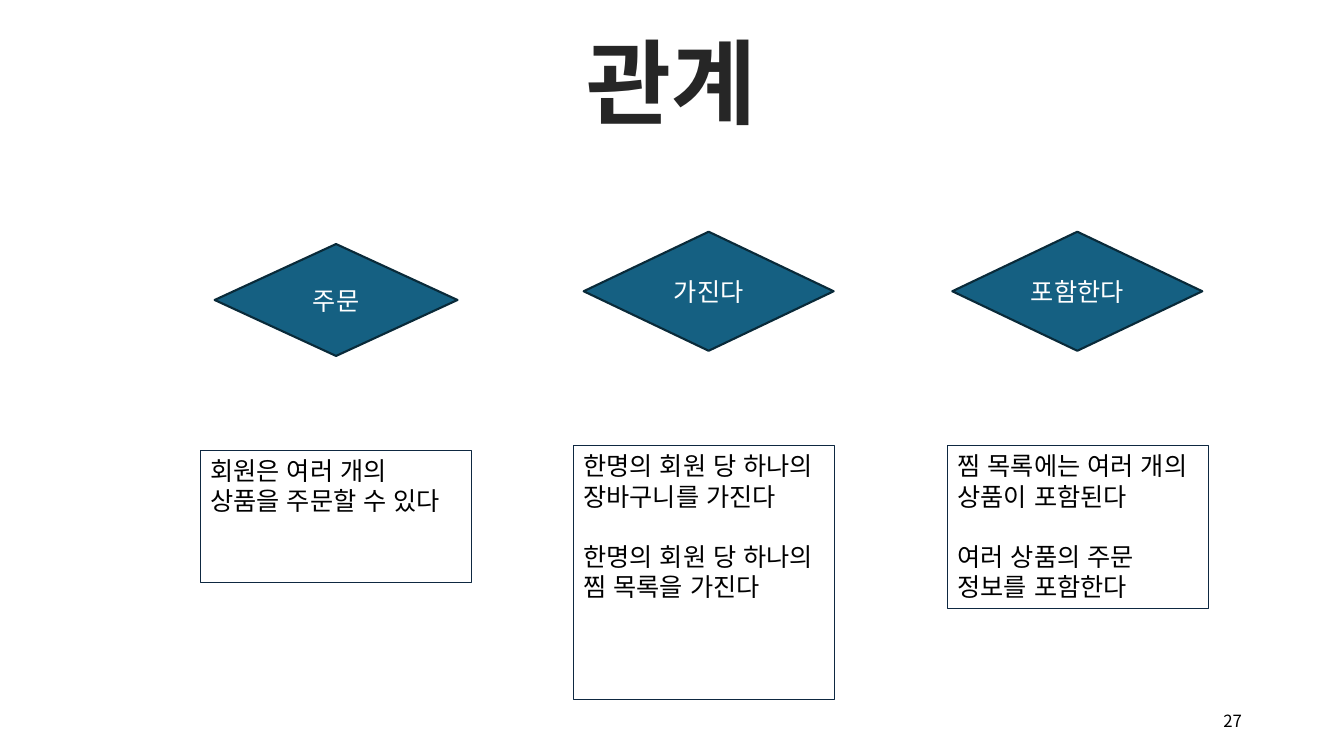
import pptx
import pptx.dml.color
import pptx.enum.lang
import pptx.enum.shapes
import pptx.enum.text
import pptx.oxml.ns
import pptx.util
from lxml import etree

Cm = pptx.util.Cm
Pt = pptx.util.Pt
ALIGN = pptx.enum.text.PP_ALIGN
ANCHOR = pptx.enum.text.MSO_ANCHOR
SHAPE = pptx.enum.shapes.MSO_SHAPE
BODY_FONT = "Noto Sans CJK KR"
TITLE_FONT = "Montserrat"

RELATIONS = [
    ("주문", (5.41, 6.15, 6.12, 2.82), (5.05, 11.35, 6.83, 3.33),
     ["회원은 여러 개의 상품을 주문할 수 있다"]),
    ("가진다", (14.71, 5.84, 6.3, 3), (14.45, 11.23, 6.58, 6.4),
     ["한명의 회원 당 하나의 장바구니를 가진다",
      "한명의 회원 당 하나의 찜 목록을 가진다"]),
    ("포함한다", (24, 5.84, 6.3, 3), (23.88, 11.23, 6.58, 4.11),
     ["찜 목록에는 여러 개의 상품이 포함된다",
      "여러 상품의 주문 정보를 포함한다"]),
]


def color(value):
    return pptx.dml.color.RGBColor.from_string(value)


def lengths(box):
    return [Cm(value) for value in box]


def add_run(paragraph, text, size, text_color, font_name=BODY_FONT, bold=False):
    run = paragraph.add_run()
    run.text = text
    font = run.font
    font.size = Pt(size)
    font.bold = bold
    font.name = font_name
    font.color.rgb = color(text_color)
    font.language_id = pptx.enum.lang.MSO_LANGUAGE_ID.KOREAN
    east_asian = etree.SubElement(run._r.get_or_add_rPr(), pptx.oxml.ns.qn("a:ea"))
    east_asian.set("typeface", font_name)


def add_title(slide, box, text):
    frame = slide.shapes.add_textbox(*lengths(box)).text_frame
    frame.word_wrap = False
    paragraph = frame.paragraphs[0]
    paragraph.alignment = ALIGN.CENTER
    add_run(paragraph, text, 66, "262626", TITLE_FONT, True)


def add_page_number(slide, box, text):
    frame = slide.shapes.add_textbox(*lengths(box)).text_frame
    frame.word_wrap = True
    frame.vertical_anchor = ANCHOR.MIDDLE
    paragraph = frame.paragraphs[0]
    paragraph.alignment = ALIGN.RIGHT
    add_run(paragraph, text, 12, "000000")


def add_diamond(slide, box, text):
    shape = slide.shapes.add_shape(SHAPE.DIAMOND, *lengths(box))
    shape.shadow.inherit = False
    shape.fill.solid()
    shape.fill.fore_color.rgb = color("156082")
    shape.line.color.rgb = color("092A39")
    shape.line.width = Pt(1.5)
    shape.text_frame.vertical_anchor = ANCHOR.MIDDLE
    paragraph = shape.text_frame.paragraphs[0]
    paragraph.alignment = ALIGN.CENTER
    add_run(paragraph, text, 18, "FFFFFF")


def add_description(slide, box, sentences):
    shape = slide.shapes.add_shape(SHAPE.RECTANGLE, *lengths(box))
    shape.shadow.inherit = False
    shape.fill.background()
    shape.line.color.rgb = color("0E2841")
    shape.line.width = Pt(0.75)
    frame = shape.text_frame
    frame.word_wrap = True
    frame.vertical_anchor = ANCHOR.TOP
    frame.margin_right = Cm(0.35)
    for index, sentence in enumerate(sentences):
        paragraph = frame.add_paragraph() if index else frame.paragraphs[0]
        paragraph.alignment = ALIGN.LEFT
        paragraph.line_spacing = Pt(21.6)
        paragraph.space_before = Pt(21.6 if index else 0)
        add_run(paragraph, sentence, 18, "000000")


def build_relation_slide(presentation):
    slide = presentation.slides.add_slide(presentation.slide_layouts[6])
    add_page_number(slide, (23.93, 17.65, 7.62, 1.02), "27")
    add_title(slide, (8.79, 0.51, 16.28, 3.4), "관계")
    for name, diamond_box, description_box, sentences in RELATIONS:
        add_diamond(slide, diamond_box, name)
        add_description(slide, description_box, sentences)


def main():
    presentation = pptx.Presentation()
    presentation.slide_width = Cm(33.87)
    presentation.slide_height = Cm(19.05)
    build_relation_slide(presentation)
    presentation.save("out.pptx")


if __name__ == "__main__":
    main()
